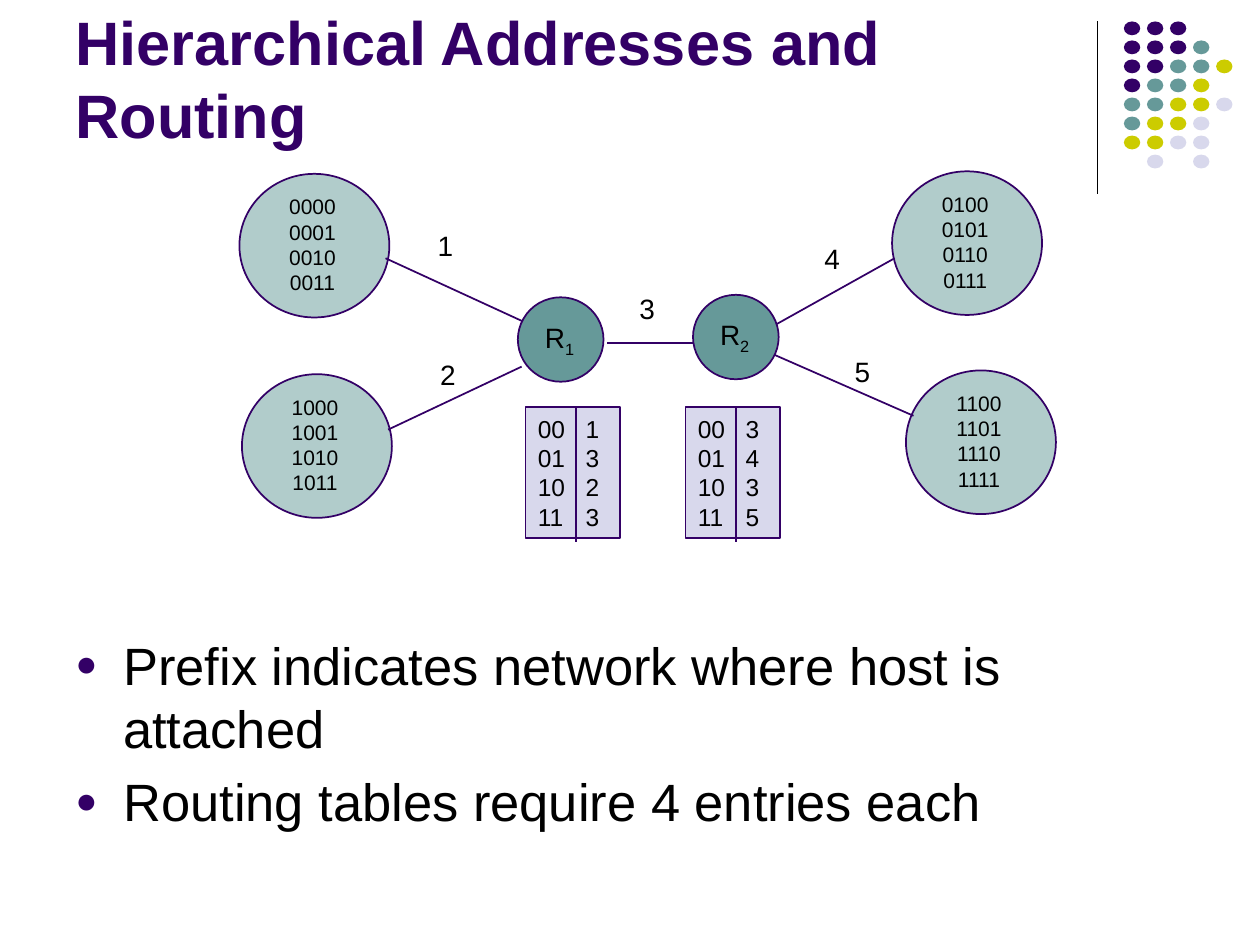
from dataclasses import dataclass

from lxml.etree import SubElement
from pptx import Presentation
from pptx.dml.color import RGBColor as Rgb
from pptx.enum.shapes import MSO_CONNECTOR as Link, MSO_SHAPE as Shape
from pptx.enum.text import MSO_ANCHOR as Anchor, MSO_AUTO_SIZE as Fit, PP_ALIGN as Align
from pptx.oxml.ns import qn
from pptx.util import Inches, Pt


@dataclass(frozen=True)
class Theme:
    font: str = "Arial"
    dark: str = "330066"
    teal: str = "669999"
    pale: str = "B1CCCB"
    lime: str = "CCCC00"
    mist: str = "D8D8EC"
    ink: str = "000000"
    title: int = 35
    body: int = 30
    label: int = 16
    entry: int = 14
    host: int = 12
    line: float = 1
    rule: float = 0.75


THEME = Theme()


# Shared helpers
def add_run(para, text, size, color=THEME.ink, bold=False):
    run = para.add_run()
    run.text = text
    font = run.font
    font.name, font.size, font.bold = THEME.font, Pt(size), bold
    font.color.rgb = Rgb.from_string(color)
    return run


def add_lines(para, lines, size):
    for i, line in enumerate(lines):
        if i:
            para.add_line_break()
        add_run(para, line, size)


def add_form(slide, kind, box, fill, line=None):
    form = slide.shapes.add_shape(kind, *map(Inches, box))
    form.shadow.inherit = False
    form.fill.solid()
    form.fill.fore_color.rgb = Rgb.from_string(fill)
    if line:
        form.line.color.rgb = Rgb.from_string(line)
        form.line.width = Pt(THEME.line)
    else:
        form.line.fill.background()
    return form


def add_line(slide, start, end, color=THEME.dark, width=THEME.line):
    line = slide.shapes.add_connector(Link.STRAIGHT, *map(Inches, (*start, *end)))
    line.line.color.rgb = Rgb.from_string(color)
    line.line.width = Pt(width)
    SubElement(line._element.spPr, qn("a:effectLst"))


def add_text(slide, box, align=Align.CENTER):
    frame = slide.shapes.add_textbox(*map(Inches, box)).text_frame
    frame.word_wrap = True
    frame.vertical_anchor = Anchor.MIDDLE
    para = frame.paragraphs[0]
    para.alignment = align
    return para


# Corner ornament: a rule and a grid of dots
def add_dots(slide, box):
    x, y, w, h = box
    add_line(slide, (x, y), (x, y + h), THEME.ink, THEME.rule)
    tints = {"d": THEME.dark, "t": THEME.teal, "l": THEME.lime, "m": THEME.mist}
    rows = ("ddd", "dddt", "ddttl", "dttl", "ttllm", "tllm", "llmm", " m m")
    for r, row in enumerate(rows):
        for c, key in enumerate(row):
            if key in tints:
                spot = (x + 0.21 + c * 0.183, y + r * 0.151, 0.13, 0.11)
                add_form(slide, Shape.OVAL, spot, tints[key])


def add_title(slide, box, text):
    title = slide.shapes.title
    title.left, title.top, title.width, title.height = map(Inches, box)
    frame = title.text_frame
    frame.auto_size = Fit.NONE
    frame.vertical_anchor = Anchor.BOTTOM
    para = frame.paragraphs[0]
    para.alignment = Align.LEFT
    add_run(para, text, THEME.title, THEME.dark, True)


# Network parts
def add_net(slide, box, prefix):
    x, y, _, h = box
    add_form(slide, Shape.OVAL, box, THEME.pale, THEME.dark)
    para = add_text(slide, (x + 0.225, y + 0.11, 0.71, h - 0.24))
    add_lines(para, [prefix + end for end in ("00", "01", "10", "11")], THEME.host)


def add_router(slide, box, index):
    x, y, w, _ = box
    add_form(slide, Shape.OVAL, box, THEME.teal, THEME.dark)
    para = add_text(slide, (x - 0.01, y + 0.155, w, 0.36))
    add_run(para, "R", THEME.label)
    low = add_run(para, index, THEME.label)
    low.font._element.set("baseline", "-25000")


def add_routes(slide, box, ports):
    x, y, _, h = box
    form = add_form(slide, Shape.RECTANGLE, box, THEME.mist, THEME.dark)
    frame = form.text_frame
    frame.vertical_anchor = Anchor.MIDDLE
    para = frame.paragraphs[0]
    para.alignment = Align.LEFT
    tabs = SubElement(para._p.get_or_add_pPr(), qn("a:tabLst"))
    SubElement(tabs, qn("a:tab"), pos=str(Inches(0.38)), algn="l")
    add_lines(para, [f"{i:02b}\t{port}" for i, port in enumerate(ports)], THEME.entry)
    add_line(slide, (x + 0.4, y + 0.01), (x + 0.4, y + h + 0.03))


def add_map(slide, box):
    left, top, _, _ = box

    def place(x, y, *size):
        return (left + x, top + y, *size)

    nets = ((0, 0.02, "00"), (5.18, 0, "01"), (5.29, 1.58, "11"), (0.02, 1.61, "10"))
    for x, y, prefix in nets:
        add_net(slide, place(x, y, 1.19, 1.14), prefix)

    # Each link: start, end, then the corner of its label
    links = (
        ((1.16, 0.69), (2.27, 1.2), (1.39, 0.41)),
        ((2.24, 1.55), (1.18, 2.05), (1.41, 1.43)),
        ((2.92, 1.36), (3.61, 1.36), (2.99, 0.91)),
        ((4.25, 1.22), (5.2, 0.69), (4.46, 0.51)),
        ((4.21, 1.44), (5.35, 1.94), (4.7, 1.41)),
    )
    for start, end, _ in links:
        add_line(slide, place(*start), place(*end))

    routers = ((2.21, 1.0, "1", 2.27, "1323"), (3.6, 0.98, "2", 3.54, "3435"))
    for x, y, index, side, ports in routers:
        add_router(slide, place(x, y, 0.68, 0.67), index)
        add_routes(slide, place(side, 1.87, 0.75, 1.04), ports)

    for number, (_, _, spot) in enumerate(links, 1):
        para = add_text(slide, place(*spot, 0.49, 0.36))
        add_run(para, str(number), THEME.label)


def add_points(slide, box, points):
    first = add_text(slide, box, Align.LEFT)
    frame = slide.shapes[-1].text_frame
    frame.vertical_anchor = Anchor.TOP
    frame.margin_top = Inches(0.09)
    for i, point in enumerate(points):
        para = frame.add_paragraph() if i else first
        if i:
            para.space_before = Pt(THEME.body * 0.2)
        props = para._p.get_or_add_pPr()
        props.set("marL", str(Inches(0.38)))
        props.set("indent", str(Inches(-0.38)))
        tint = SubElement(props, qn("a:buClr"))
        SubElement(tint, qn("a:srgbClr"), val=THEME.dark)
        SubElement(props, qn("a:buSzPct"), val="70000")
        SubElement(props, qn("a:buFont"), typeface=THEME.font)
        SubElement(props, qn("a:buChar"), char="●")
        add_run(para, point, THEME.body)


def main():
    deck = Presentation()
    deck.slide_width, deck.slide_height = Inches(10), Inches(7.5)
    slide = deck.slides.add_slide(deck.slide_layouts[5])
    add_dots(slide, (8.71, 0.17, 1.07, 1.37))
    add_map(slide, (1.9, 1.36, 6.48, 2.94))
    add_title(slide, (0.5, 0.13, 8.25, 1.12), "Hierarchical Addresses and Routing")
    add_points(slide, (0.5, 4.93, 9, 2.02), (
        "Prefix indicates network where host is attached",
        "Routing tables require 4 entries each",
    ))
    deck.save("out.pptx")


if __name__ == "__main__":
    main()
